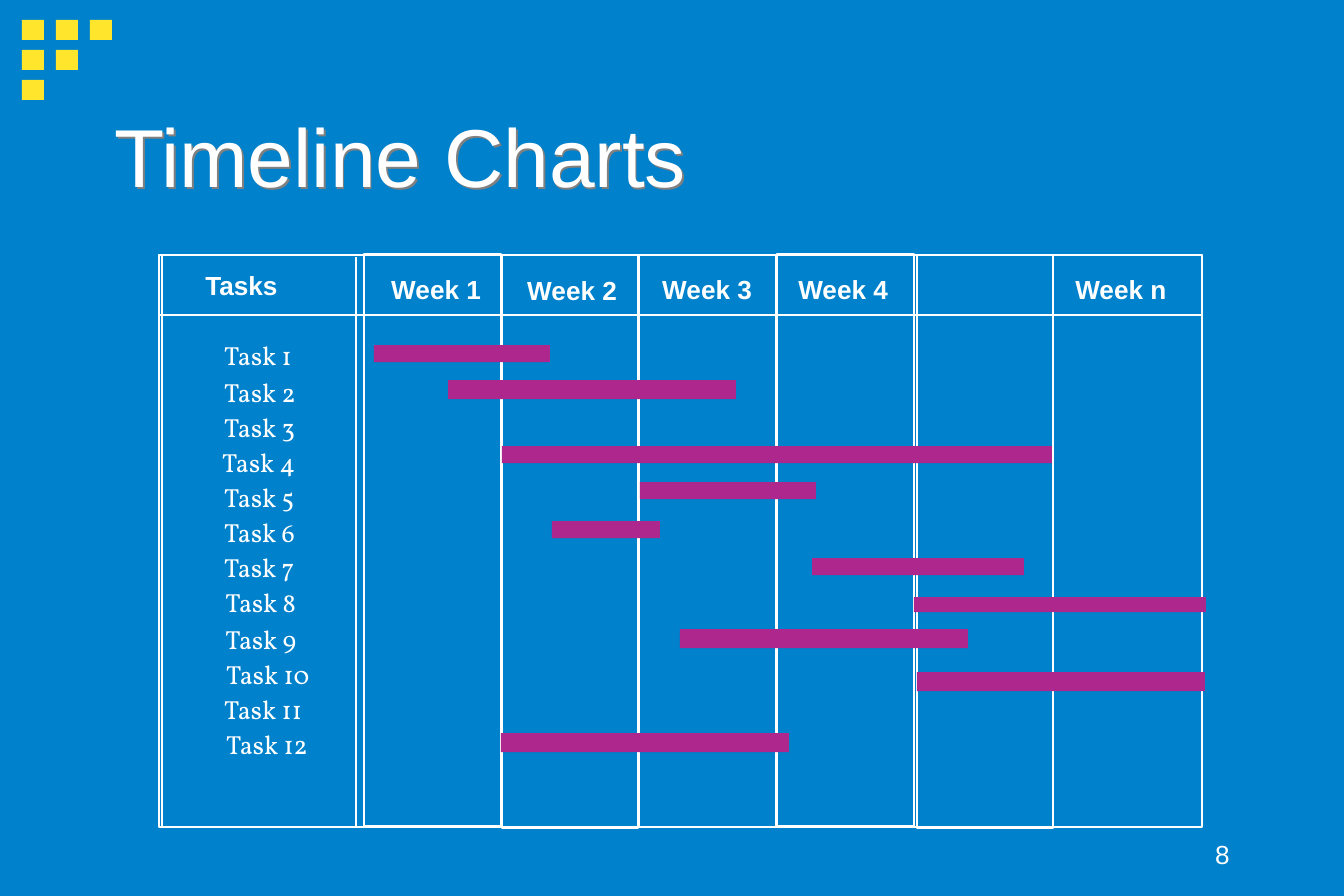
from dataclasses import dataclass
from typing import Optional

from lxml import etree
from pptx import Presentation
from pptx.dml.color import RGBColor
from pptx.enum.shapes import MSO_CONNECTOR, MSO_SHAPE
from pptx.enum.text import MSO_ANCHOR, MSO_AUTO_SIZE, PP_ALIGN
from pptx.oxml.ns import qn
from pptx.util import Emu, Pt

RECTANGLE = MSO_SHAPE.RECTANGLE
STRAIGHT = MSO_CONNECTOR.STRAIGHT
TOP, MIDDLE, BOTTOM = MSO_ANCHOR.TOP, MSO_ANCHOR.MIDDLE, MSO_ANCHOR.BOTTOM
LEFT, RIGHT = PP_ALIGN.LEFT, PP_ALIGN.RIGHT
FIT_SHAPE, NO_FIT = MSO_AUTO_SIZE.SHAPE_TO_FIT_TEXT, MSO_AUTO_SIZE.NONE

SLIDE_WIDTH, SLIDE_HEIGHT = Emu(9144000), Emu(6094413)
EMU_PER_PX = 914400 / 134.4
BLUE, WHITE, YELLOW, MAGENTA, GRAY = "0081CB", "FFFFFF", "FFE62D", "AD278D", "808080"
SANS, SERIF = "Arial", "Vollkorn"


@dataclass
class Box:
    left: int
    top: int
    width: int
    height: int


@dataclass
class Heading:
    text: str
    box: Box


@dataclass
class Task:
    number: int
    label: Box
    bar: Optional[Box] = None


LABEL_HEIGHT = 42

FRAMES = [
    Box(159, 255, 1043, 572),  # whole chart
    Box(159, 255, 1043, 60),  # heading row
    Box(162, 255, 202, 572),  # task column
    Box(364, 254, 137, 572),  # week columns
    Box(502, 255, 136, 573),
    Box(639, 255, 137, 572),
    Box(777, 254, 137, 572),
    Box(917, 255, 136, 573),
]

HEADINGS = [Heading("Tasks", Box(192, 266, 101, LABEL_HEIGHT))] + [
    Heading(f"Week {week}", Box(left, top, 119, LABEL_HEIGHT))
    for week, left, top in [
        ("1", 378, 270), ("2", 514, 271), ("3", 649, 270), ("4", 785, 270), ("n", 1062, 270)
    ]
]

TASKS = [
    Task(1, Box(211, 336, 101, LABEL_HEIGHT), Box(374, 345, 176, 17)),
    Task(2, Box(211, 373, 101, LABEL_HEIGHT), Box(448, 380, 288, 19)),
    Task(3, Box(211, 408, 101, LABEL_HEIGHT)),
    Task(4, Box(209, 443, 101, LABEL_HEIGHT), Box(502, 446, 550, 17)),
    Task(5, Box(211, 478, 101, LABEL_HEIGHT), Box(640, 482, 176, 17)),
    Task(6, Box(211, 513, 101, LABEL_HEIGHT), Box(552, 521, 108, 17)),
    Task(7, Box(211, 548, 101, LABEL_HEIGHT), Box(812, 558, 212, 17)),
    Task(8, Box(212, 583, 101, LABEL_HEIGHT), Box(914, 597, 292, 15)),
    Task(9, Box(212, 620, 101, LABEL_HEIGHT), Box(680, 629, 288, 19)),
    Task(10, Box(213, 655, 114, LABEL_HEIGHT), Box(917, 672, 288, 19)),
    Task(11, Box(211, 690, 120, LABEL_HEIGHT)),
    Task(12, Box(213, 725, 114, LABEL_HEIGHT), Box(501, 733, 288, 19)),
]


def px(length: int) -> Emu:
    return Emu(round(length * EMU_PER_PX))


def color(value: str) -> RGBColor:
    return RGBColor.from_string(value)


def place(box: Box) -> list[Emu]:
    return [px(n) for n in (box.left, box.top, box.width, box.height)]


def add_block(slide, box: Box, fill: str) -> None:
    block = slide.shapes.add_shape(RECTANGLE, *place(box))
    block.shadow.inherit = False
    block.fill.solid()
    block.fill.fore_color.rgb = color(fill)
    block.line.fill.background()


def add_frame(slide, box: Box) -> None:
    frame = slide.shapes.add_shape(RECTANGLE, *place(box))
    frame.shadow.inherit = False
    frame.fill.background()
    frame.line.color.rgb = color(WHITE)
    frame.line.width = Pt(1)


def add_rule(slide, x: int, top: int, bottom: int) -> None:
    rule = slide.shapes.add_connector(STRAIGHT, px(x), px(top), px(x), px(bottom))
    rule.line.color.rgb = color(WHITE)
    rule.line.width = Pt(1)
    etree.SubElement(rule.element.spPr, qn("a:effectLst"))


def add_text(slide, text: str, box: Box, size: int = 14, font: str = SANS,
             bold: bool = False, align=LEFT, anchor=TOP, spacing: float = 1.0,
             fit: bool = False):
    label = slide.shapes.add_textbox(*place(box))
    frame = label.text_frame
    frame.word_wrap = not fit
    frame.auto_size = FIT_SHAPE if fit else NO_FIT
    frame.vertical_anchor = anchor
    paragraph = frame.paragraphs[0]
    paragraph.text = text
    paragraph.alignment = align
    paragraph.line_spacing = spacing
    paragraph.font.name = font
    paragraph.font.size = Pt(size)
    paragraph.font.bold = bold
    paragraph.font.color.rgb = color(WHITE)
    return label


def add_shadow(label) -> None:
    effects = etree.SubElement(label.element.spPr, qn("a:effectLst"))
    shadow = etree.SubElement(effects, qn("a:outerShdw"), dist="17961", dir="2700000")
    etree.SubElement(shadow, qn("a:srgbClr"), val=GRAY)


def main() -> None:
    presentation = Presentation()
    presentation.slide_width, presentation.slide_height = SLIDE_WIDTH, SLIDE_HEIGHT
    slide = presentation.slides.add_slide(presentation.slide_layouts[6])
    slide.background.fill.solid()
    slide.background.fill.fore_color.rgb = color(BLUE)

    # Corner squares, one fewer in each row
    for row in range(3):
        for column in range(3 - row):
            add_block(slide, Box(22 + 34 * column, 20 + 30 * row, 22, 20), YELLOW)

    # Page number and title
    add_text(slide, "8", Box(963, 817, 280, 59), align=RIGHT, anchor=BOTTOM)
    title = add_text(slide, "Timeline Charts", Box(101, 80, 1142, 149), size=44, anchor=MIDDLE)
    add_shadow(title)

    # Chart grid
    for frame in FRAMES:
        add_frame(slide, frame)
    add_rule(slide, 356, 257, 827)

    # Headings, task names and bars
    for heading in HEADINGS:
        add_text(slide, heading.text, heading.box, bold=True, spacing=0.9, fit=True)
    for task in TASKS:
        add_text(slide, f"Task {task.number}", task.label, font=SERIF, spacing=0.9, fit=True)
    for task in TASKS:
        if task.bar:
            add_block(slide, task.bar, MAGENTA)

    presentation.save("out.pptx")


if __name__ == "__main__":
    main()
